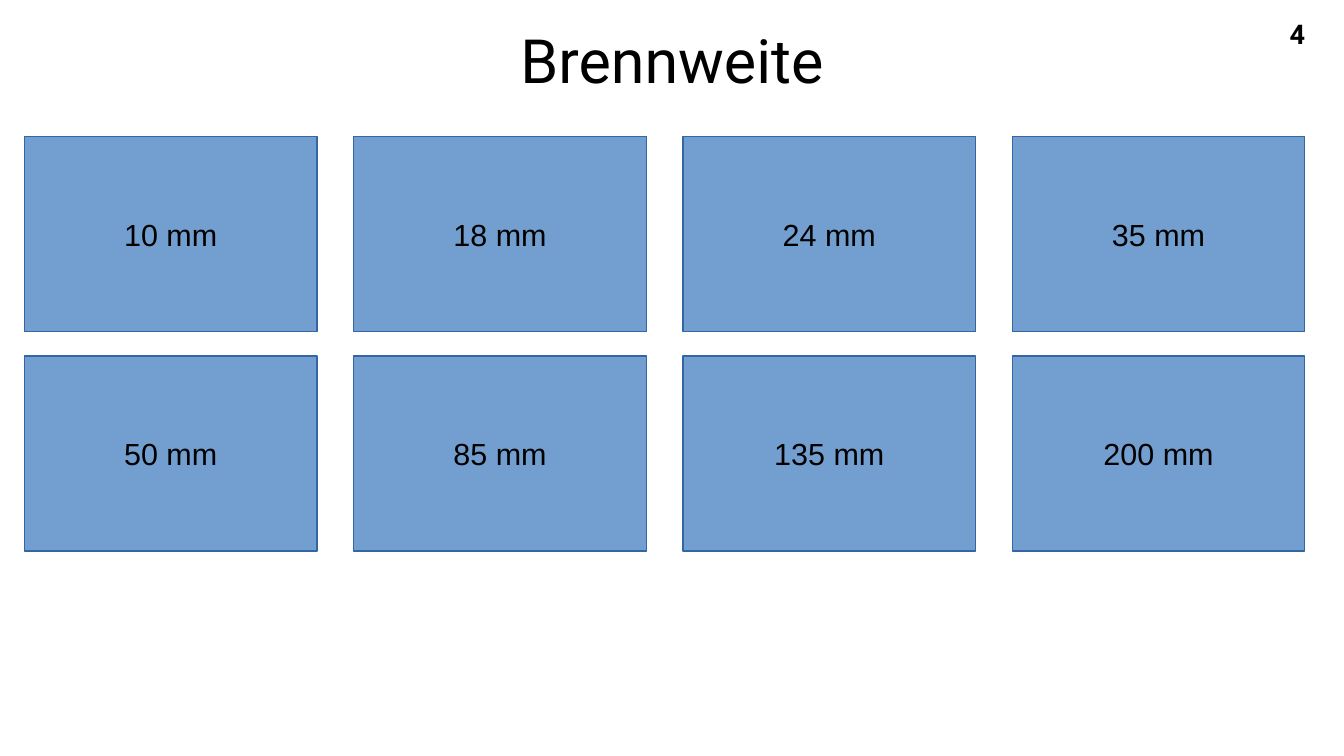
from pptx import Presentation
from pptx.dml.color import RGBColor
from pptx.enum.shapes import MSO_SHAPE
from pptx.enum.text import MSO_ANCHOR, PP_ALIGN
from pptx.util import Inches, Pt

RECT = MSO_SHAPE.RECTANGLE
TOP, MIDDLE = MSO_ANCHOR.TOP, MSO_ANCHOR.MIDDLE
CENTER, RIGHT = PP_ALIGN.CENTER, PP_ALIGN.RIGHT

TITLE = "Brennweite"
PAGE_NUMBER = "4"
FOCAL_LENGTHS = [
    ["10 mm", "18 mm", "24 mm", "35 mm"],
    ["50 mm", "85 mm", "135 mm", "200 mm"],
]

BLACK, TILE_FILL, TILE_LINE = "000000", "729FCF", "3465A4"
GRID_LEFT, GRID_TOP = 0.2, 1.12
TILE_W, TILE_H = 2.4, 1.6
GAP_X, GAP_Y = 0.3, 0.2


def color(hex_code):
    return RGBColor.from_string(hex_code)


def set_text(sp, text, size, font, align, anchor, bold=False, wrap=False):
    tf = sp.text_frame
    tf.text = text
    tf.word_wrap = wrap
    tf.vertical_anchor = anchor
    p = tf.paragraphs[0]
    p.alignment = align
    r = p.runs[0]
    r.font.size = Pt(size)
    r.font.name = font
    r.font.bold = bold
    r.font.color.rgb = color(BLACK)


def add_label(s, box, *args, **kwargs):
    """Add a text box; the other arguments go to set_text."""
    sp = s.shapes.add_textbox(*map(Inches, box))
    set_text(sp, *args, **kwargs)


def add_tile(s, row, col, text):
    left = GRID_LEFT + col * (TILE_W + GAP_X)
    top = GRID_TOP + row * (TILE_H + GAP_Y)
    sp = s.shapes.add_shape(RECT, *map(Inches, (left, top, TILE_W, TILE_H)))
    sp.shadow.inherit = False
    sp.fill.solid()
    sp.fill.fore_color.rgb = color(TILE_FILL)
    sp.line.color.rgb = color(TILE_LINE)
    sp.line.width = Pt(0)
    set_text(sp, text, 18, "Arial", CENTER, MIDDLE)


def main():
    prs = Presentation()
    prs.slide_width, prs.slide_height = Inches(11.02), Inches(6.2)
    s = prs.slides.add_slide(prs.slide_layouts[6])
    add_label(s, (9.4, 0.09, 1.4, 0.4), PAGE_NUMBER, 16, "Roboto", RIGHT, TOP,
              bold=True, wrap=True)
    add_label(s, (0.55, 0.09, 9.92, 0.79), TITLE, 36, "Roboto", CENTER, MIDDLE,
              wrap=True)
    for row, labels in enumerate(FOCAL_LENGTHS):
        for col, text in enumerate(labels):
            add_tile(s, row, col, text)
    prs.save("out.pptx")


if __name__ == "__main__":
    main()
